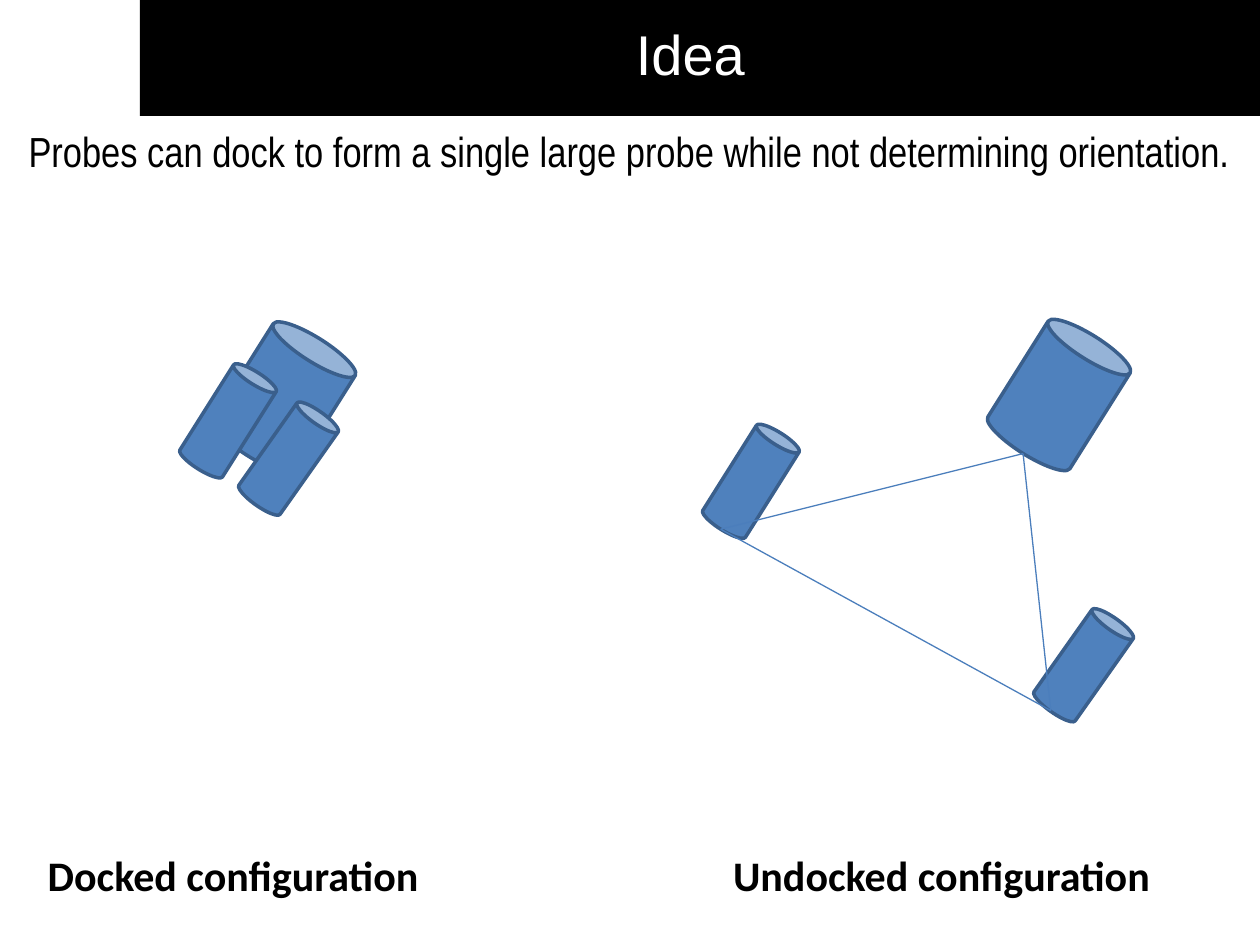
"""Build the slide on docked and undocked probes."""
from typing import NamedTuple

import pptx
import pptx.dml.color
import pptx.enum.shapes
import pptx.enum.text
import pptx.oxml
import pptx.oxml.ns
import pptx.util

Inches = pptx.util.Inches
Pt = pptx.util.Pt
RGB = pptx.dml.color.RGBColor
Shape = pptx.enum.shapes.MSO_SHAPE
Align = pptx.enum.text.PP_ALIGN
Fit = pptx.enum.text.MSO_AUTO_SIZE

BLACK = RGB(0x00, 0x00, 0x00)
WHITE = RGB(0xFF, 0xFF, 0xFF)
BLUE = RGB(0x4F, 0x81, 0xBD)
EDGE = RGB(0x3A, 0x5F, 0x8C)
LINK = RGB(0x4B, 0x7E, 0xBC)

BIG = (0.77, 1.09)
SMALL = (0.4, 0.9)


class Probe(NamedTuple):
    left: float
    top: float
    size: tuple[float, float]
    turn: float


class Label(NamedTuple):
    text: str
    left: float
    top: float
    width: float
    font: str
    bold: bool
    wrap: bool
    align: Align


PROBES = [
    Probe(1.87, 2.61, BIG, 32.2),
    Probe(2.09, 3.19, SMALL, 35.2),
    Probe(1.61, 2.89, SMALL, 32.2),
    Probe(8.02, 2.59, BIG, 32.2),
    Probe(8.4, 4.83, SMALL, 35.2),
    Probe(5.76, 3.37, SMALL, 32.2),
]
LABELS = [
    Label("Probes can dock to form a single large probe while not determining orientation.",
          0, 0.95, 9.98, "Arial Narrow", False, True, Align.CENTER),
    Label("Docked configuration", 0.28, 6.69, 3.18, "Calibri", True, False, Align.LEFT),
    Label("Undocked configuration", 5.72, 6.69, 3.54, "Calibri", True, False, Align.LEFT),
]
UPPER, LEFT, LOWER = (8.12, 3.6), (5.72, 4.2), (8.34, 5.64)
LINKS = [(UPPER, LEFT), (UPPER, LOWER), (LOWER, LEFT)]


def add_title(slide, text: str) -> None:
    bar = slide.shapes.add_shape(Shape.RECTANGLE, Inches(1.11), 0, Inches(8.89), Inches(0.92))
    bar.shadow.inherit = False
    bar.fill.solid()
    bar.fill.fore_color.rgb = BLACK
    bar.line.fill.background()
    title = slide.shapes.title
    title.element.addprevious(bar.element)
    title.left, title.top = Inches(0.96), Inches(0.1)
    title.width, title.height = Inches(9.04), Inches(0.64)
    title.text_frame.text = text
    title.text_frame.auto_size = Fit.SHAPE_TO_FIT_TEXT
    para = title.text_frame.paragraphs[0]
    para.alignment = Align.CENTER
    para.font.size = Pt(32)
    para.font.name = "Arial"
    para.font.color.rgb = WHITE


def add_probe(slide, probe: Probe) -> None:
    width, height = probe.size
    can = slide.shapes.add_shape(
        Shape.CAN, Inches(probe.left), Inches(probe.top), Inches(width), Inches(height))
    can.rotation = probe.turn
    can.shadow.inherit = False
    can.fill.solid()
    can.fill.fore_color.rgb = BLUE
    can.line.color.rgb = EDGE
    can.line.width = Pt(2)


def add_link(slide, start: tuple[float, float], end: tuple[float, float]) -> None:
    link = slide.shapes.add_connector(
        pptx.enum.shapes.MSO_CONNECTOR.STRAIGHT, *map(Inches, start + end))
    link.line.color.rgb = LINK
    link.line.width = Pt(0.75)
    props = link.element.find(pptx.oxml.ns.qn("p:spPr"))
    props.append(pptx.oxml.parse_xml(f"<a:effectLst {pptx.oxml.ns.nsdecls('a')}/>"))


def add_label(slide, label: Label) -> None:
    box = slide.shapes.add_textbox(
        Inches(label.left), Inches(label.top), Inches(label.width), Inches(0.5))
    frame = box.text_frame
    frame.word_wrap = label.wrap
    frame.auto_size = Fit.SHAPE_TO_FIT_TEXT
    frame.text = label.text
    para = frame.paragraphs[0]
    para.alignment = label.align
    para.font.size = Pt(24)
    para.font.name = label.font
    para.font.bold = label.bold
    para.font.color.rgb = BLACK


def main() -> None:
    deck = pptx.Presentation()
    deck.slide_width, deck.slide_height = Inches(10), Inches(7.5)
    slide = deck.slides.add_slide(deck.slide_layouts[5])
    add_title(slide, "Idea")
    for probe in PROBES:
        add_probe(slide, probe)
    for start, end in LINKS:
        add_link(slide, start, end)
    for label in LABELS:
        add_label(slide, label)
    deck.save("out.pptx")


if __name__ == "__main__":
    main()
